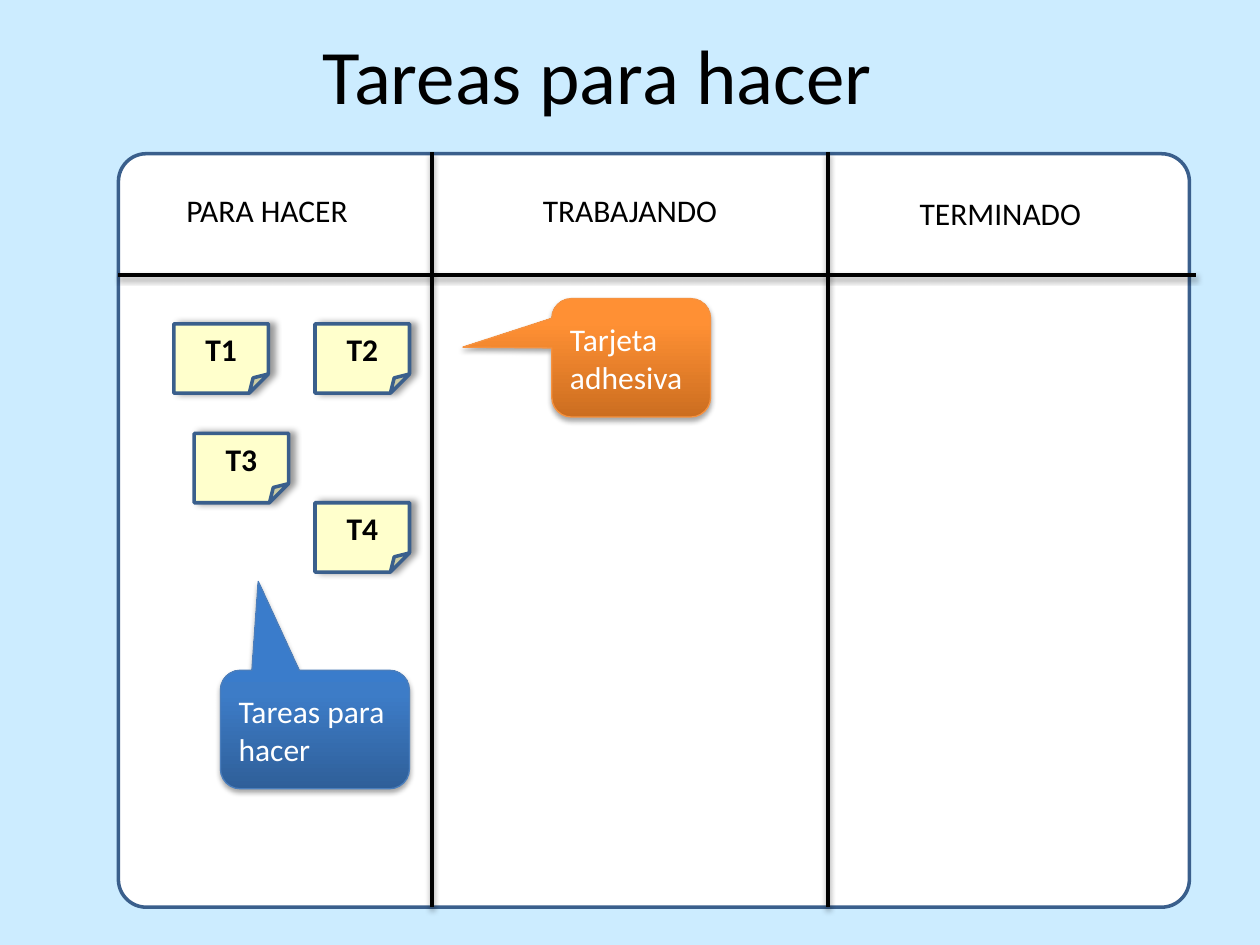
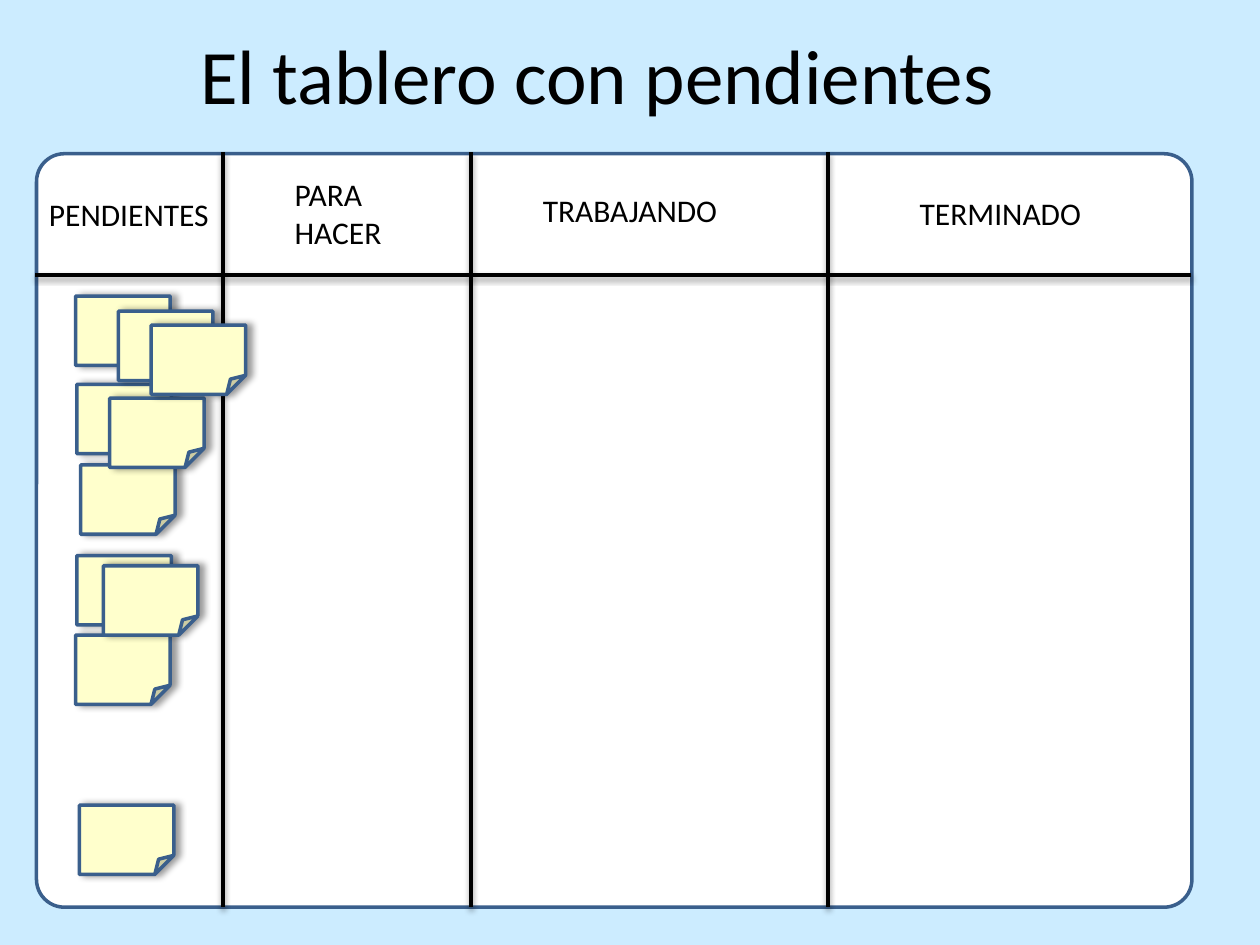
from dataclasses import dataclass

from lxml import etree
from pptx import Presentation, util as u
from pptx.dml.color import RGBColor
from pptx.enum import shapes, text
from pptx.oxml import ns

COLS, ROWS = 100, 75
WIDTH, HEIGHT = u.Inches(10), u.Inches(7.5)


@dataclass(frozen=True)
class Theme:
    """Colours, type, line widths and shadows shared by both boards."""
    font: str = "Calibri"
    title_size: int = 44
    text_size: int = 18
    sky: str = "CCECFF"
    white: str = "FFFFFF"
    ink: str = "000000"
    outline: str = "3A5F8C"
    note: str = "FFFFCC"
    outline_width: float = 2
    rule_width: float = 2.25
    callout_width: float = 0.75
    soft_shadow: tuple = (35, 3.1, 1.8, 90)
    note_shadow: tuple = (40, 4, 3, 0)
    orange: tuple = ("F69240", ((0, "CC6E20"), (80, "FF9034"), (100, "FF9136")))
    blue: tuple = ("4B7EBC", ((0, "2F5F99"), (80, "3D7CC7"), (100, "3A7CCB")))


T = Theme()
NOTE_SIZE = (7.5, 5.5)
TRABAJANDO = ("TRABAJANDO", (42.1, 14.7, 16, 4))
TERMINADO = ("TERMINADO", (72, 14.9, 14.9, 4))


def grid(*cells):
    """Turn alternating columns and rows into slide lengths."""
    units = (WIDTH / COLS, HEIGHT / ROWS)
    return [u.Emu(round(c * units[i % 2])) for i, c in enumerate(cells)]


def apply(obj, formats):
    """Set each attribute named in a dict of format values."""
    for name, value in formats.items():
        setattr(obj, name, value)


def add_xml(parent, tag, **attrs):
    """Append a DrawingML element and return it."""
    return etree.SubElement(parent, ns.qn(f"a:{tag}"), {k: str(v) for k, v in attrs.items()})


def add_shadow(sp, shadow):
    """Give a shape or connector an outer shadow."""
    alpha, blur, dist, angle = shadow
    effects = add_xml(sp._element.spPr, "effectLst")
    outer = add_xml(effects, "outerShdw", blurRad=u.Pt(blur), dist=u.Pt(dist),
                    dir=angle * 60000, algn="ctr", rotWithShape=0)
    add_xml(add_xml(outer, "srgbClr", val=T.ink), "alpha", val=alpha * 1000)


def set_line(sp, color, width):
    """Colour and size an outline."""
    sp.line.color.rgb = RGBColor.from_string(color)
    sp.line.width = u.Pt(width)


def set_adjustments(sp, values):
    """Write the adjustment guides of a preset shape."""
    guides = sp._element.spPr.find(".//" + ns.qn("a:avLst"))
    for guide in list(guides):
        guides.remove(guide)
    for i, value in enumerate(values, 1):
        name = "adj" if len(values) == 1 else f"adj{i}"
        add_xml(guides, "gd", name=name, fmla=f"val {round(value * 100000)}")


def write(tf, words, size=T.text_size, color=T.ink, bold=False, align=text.PP_ALIGN.LEFT):
    """Write lines of text as formatted paragraphs."""
    for i, line in enumerate(words.split("\n")):
        p = tf.add_paragraph() if i else tf.paragraphs[0]
        p.alignment = align
        r = p.add_run()
        r.text = line
        apply(r.font, {"name": T.font, "size": u.Pt(size), "bold": bold})
        r.font.color.rgb = RGBColor.from_string(color)


def add_shape(s, kind, box, adjustments, fill, line, width, shadow=None):
    """Draw a preset shape with a plain or graded fill."""
    sp = s.shapes.add_shape(kind, *grid(*box))
    set_adjustments(sp, adjustments)
    if isinstance(fill, str):
        sp.fill.solid()
        sp.fill.fore_color.rgb = RGBColor.from_string(fill)
    else:
        grad = add_xml(sp._element.spPr, "gradFill", rotWithShape=1)
        stops = add_xml(grad, "gsLst")
        for share, color in fill:
            add_xml(add_xml(stops, "gs", pos=share * 1000), "srgbClr", val=color)
        add_xml(grad, "lin", ang=270 * 60000, scaled=0)
    set_line(sp, line, width)
    if shadow:
        add_shadow(sp, shadow)
    else:
        sp.shadow.inherit = False
    apply(sp.text_frame, {"word_wrap": True, "vertical_anchor": text.MSO_ANCHOR.MIDDLE})
    return sp


def add_rule(s, start, end):
    """Draw a straight board line."""
    c = s.shapes.add_connector(shapes.MSO_CONNECTOR.STRAIGHT, *grid(*start, *end))
    set_line(c, T.ink, T.rule_width)
    add_shadow(c, T.soft_shadow)


def add_label(s, words, box):
    """Write a column heading."""
    sp = s.shapes.add_textbox(*grid(*box))
    sp.text_frame.word_wrap = False
    write(sp.text_frame, words)


def add_note(s, left, top, words=""):
    """Stick a folded note on the board."""
    sp = add_shape(s, shapes.MSO_SHAPE.FOLDED_CORNER, (left, top, *NOTE_SIZE), (0.275,),
                   T.note, T.outline, T.outline_width, T.note_shadow)
    if words:
        write(sp.text_frame, words, bold=True, align=text.PP_ALIGN.CENTER)


def add_callout(s, words, box, tip, palette):
    """Add an explanatory balloon."""
    line, stops = palette
    sp = add_shape(s, shapes.MSO_SHAPE.ROUNDED_RECTANGULAR_CALLOUT, box, (*tip, 0.167),
                   stops, line, T.callout_width, T.soft_shadow)
    write(sp.text_frame, words, color=T.white)


def add_board(prs, title, left, width, rule, dividers, labels):
    """Create a titled slide with a ruled task board."""
    s = prs.slides.add_slide(prs.slide_layouts[5])
    add_shape(s, shapes.MSO_SHAPE.ROUNDED_RECTANGLE, (left, 12.2, width, 59.8), (0.037,),
              T.white, T.outline, T.outline_width)
    sp = s.shapes.title
    apply(sp, dict(zip(("left", "top", "width", "height"), grid(9.4, 1.7, 76, 8.4))))
    apply(sp.text_frame, {"word_wrap": True, "auto_size": text.MSO_AUTO_SIZE.NONE,
                          "vertical_anchor": text.MSO_ANCHOR.TOP})
    write(sp.text_frame, title, T.title_size, align=text.PP_ALIGN.CENTER)
    add_rule(s, (rule[0], 21.8), (rule[1], 21.8))
    for x in dividers:
        add_rule(s, (x, 12.1), (x, 72))
    for words, box in labels:
        add_label(s, words, box)
    return s


def main():
    """Build both task boards."""
    prs = Presentation()
    apply(prs, {"slide_width": WIDTH, "slide_height": HEIGHT})
    background = prs.slide_master.background.fill
    background.solid()
    background.fore_color.rgb = RGBColor.from_string(T.sky)

    s = add_board(prs, "Tareas para hacer", 9.4, 85, (9.4, 94.9), (34.3, 65.7),
                  (("PARA HACER", (13.8, 14.7, 14.9, 4)), TRABAJANDO, TERMINADO))
    tasks = ((13.8, 25.7), (25, 25.7), (15.4, 34.4), (25, 39.9))
    for i, (left, top) in enumerate(tasks, 1):
        add_note(s, left, top, f"T{i}")
    add_callout(s, "Tarjeta adhesiva", (43.8, 23.7, 12.6, 9.4), (-1.06, -0.09), T.orange)
    add_callout(s, "Tareas para hacer", (17.5, 53.2, 15, 9.4), (-0.3, -1.25), T.blue)

    s = add_board(prs, "El tablero con pendientes", 2.9, 91.7, (2.8, 94.5), (17.7, 37.4, 65.7),
                  (("PENDIENTES", (2.9, 15, 14.8, 4)), ("PARA\nHACER", (22.4, 13.4, 9, 7.1)),
                   TRABAJANDO, TERMINADO))
    pending = ((6, 23.5), (6.1, 44.1), (6.4, 36.9), (6.1, 30.5), (6.3, 63.9), (6, 50.4),
               (9.4, 24.7), (8.7, 31.6), (12, 25.8), (8.2, 44.9))
    for left, top in pending:
        add_note(s, left, top)

    prs.save("out.pptx")


if __name__ == "__main__":
    main()
